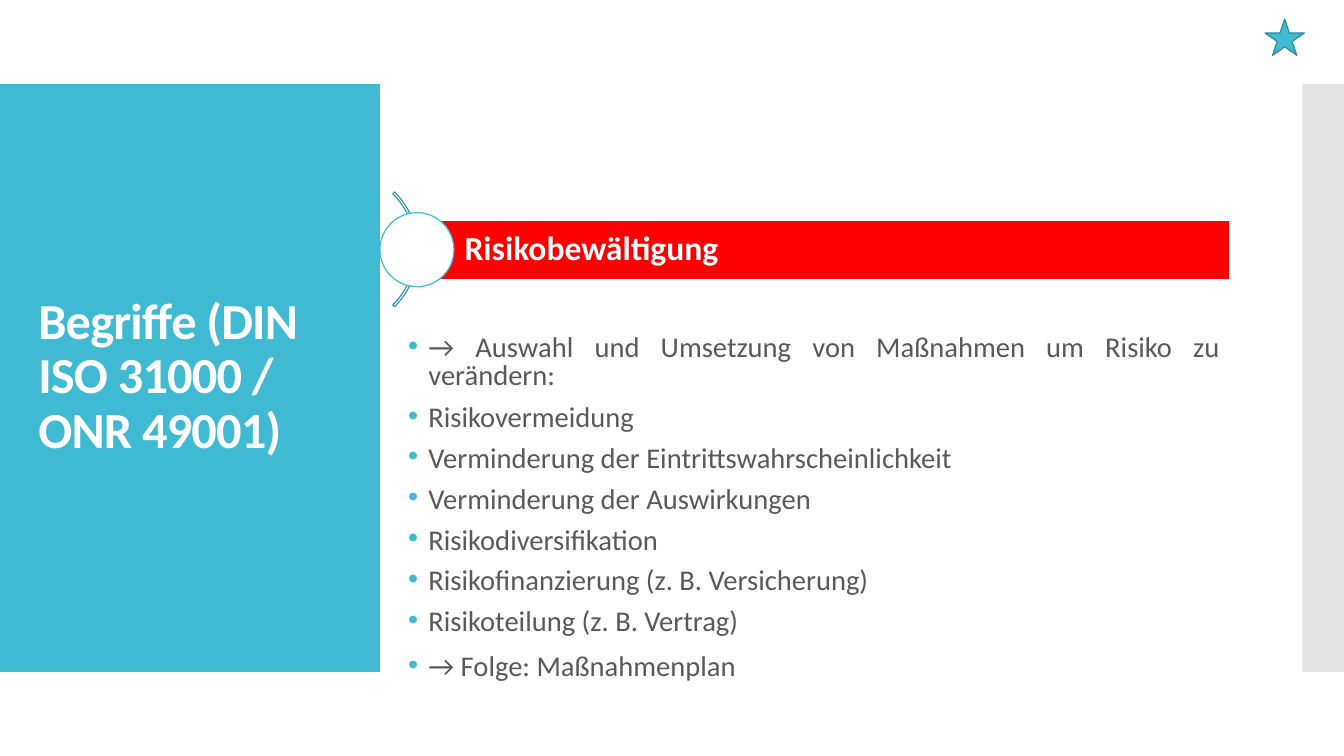
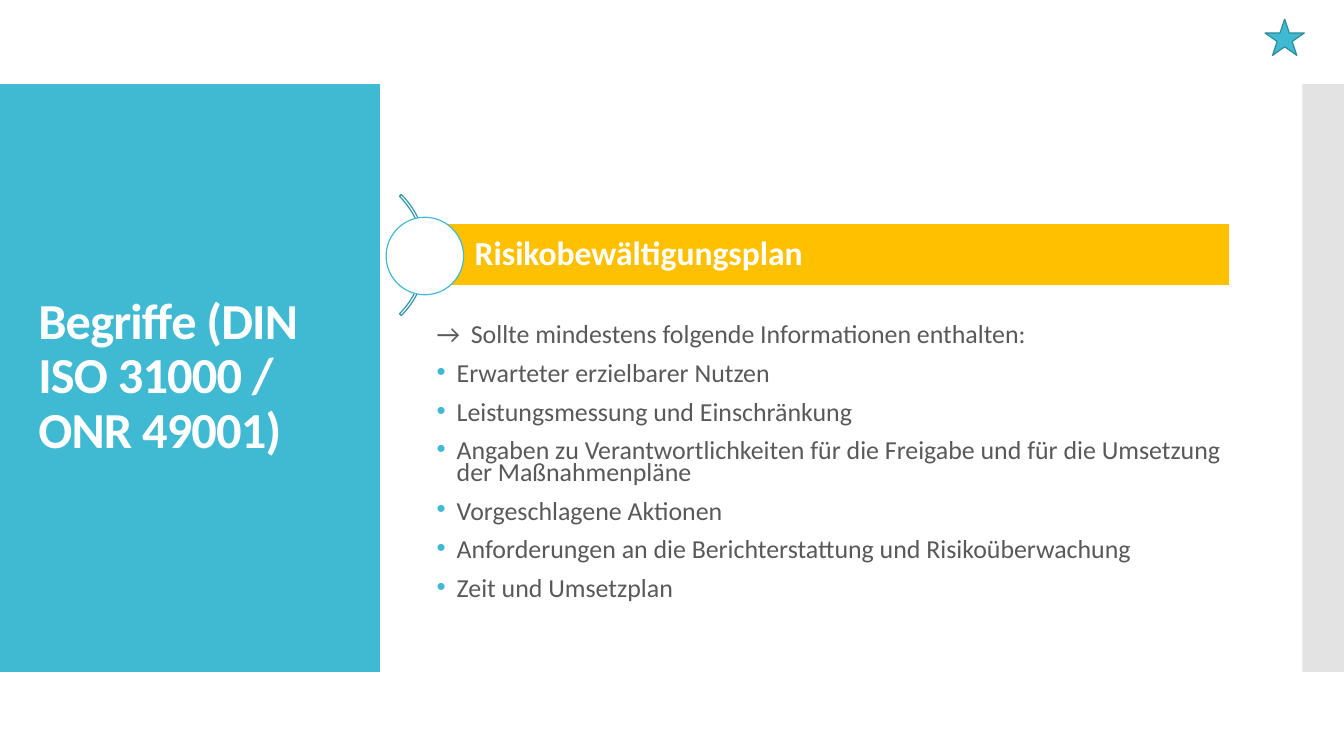
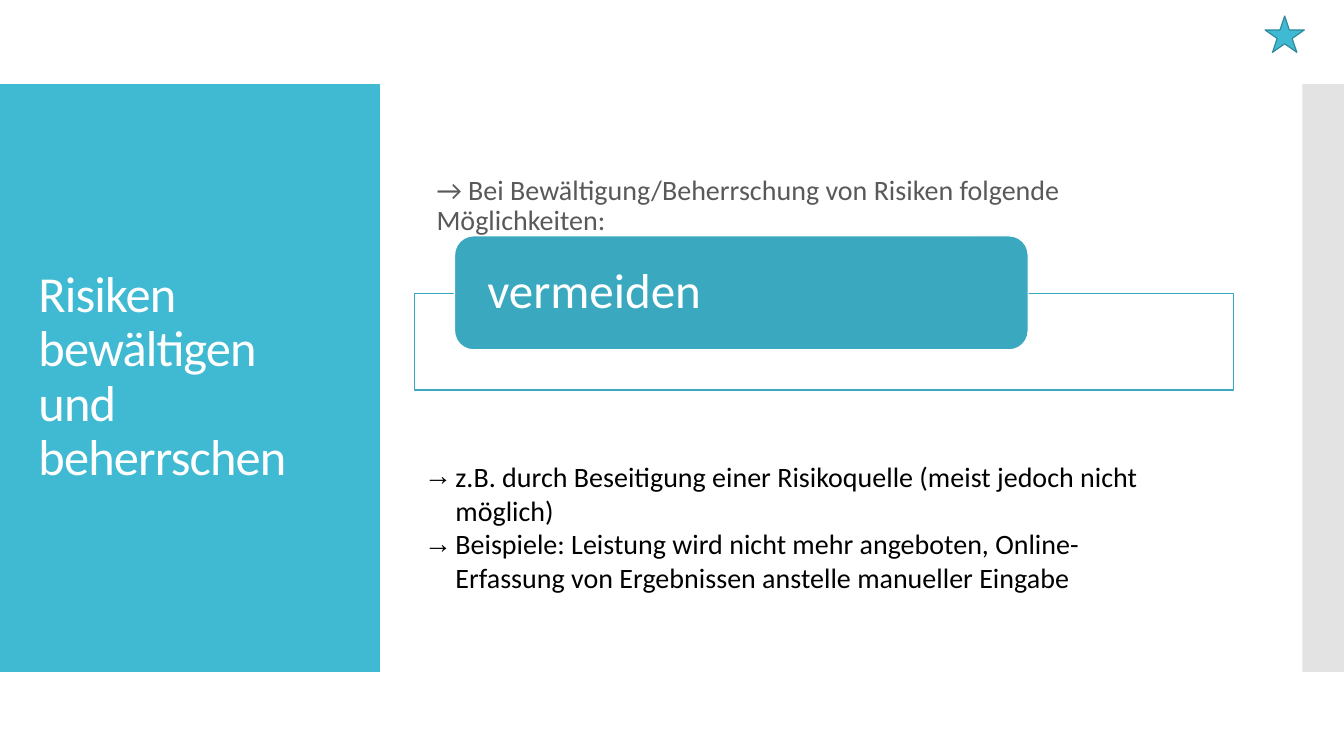
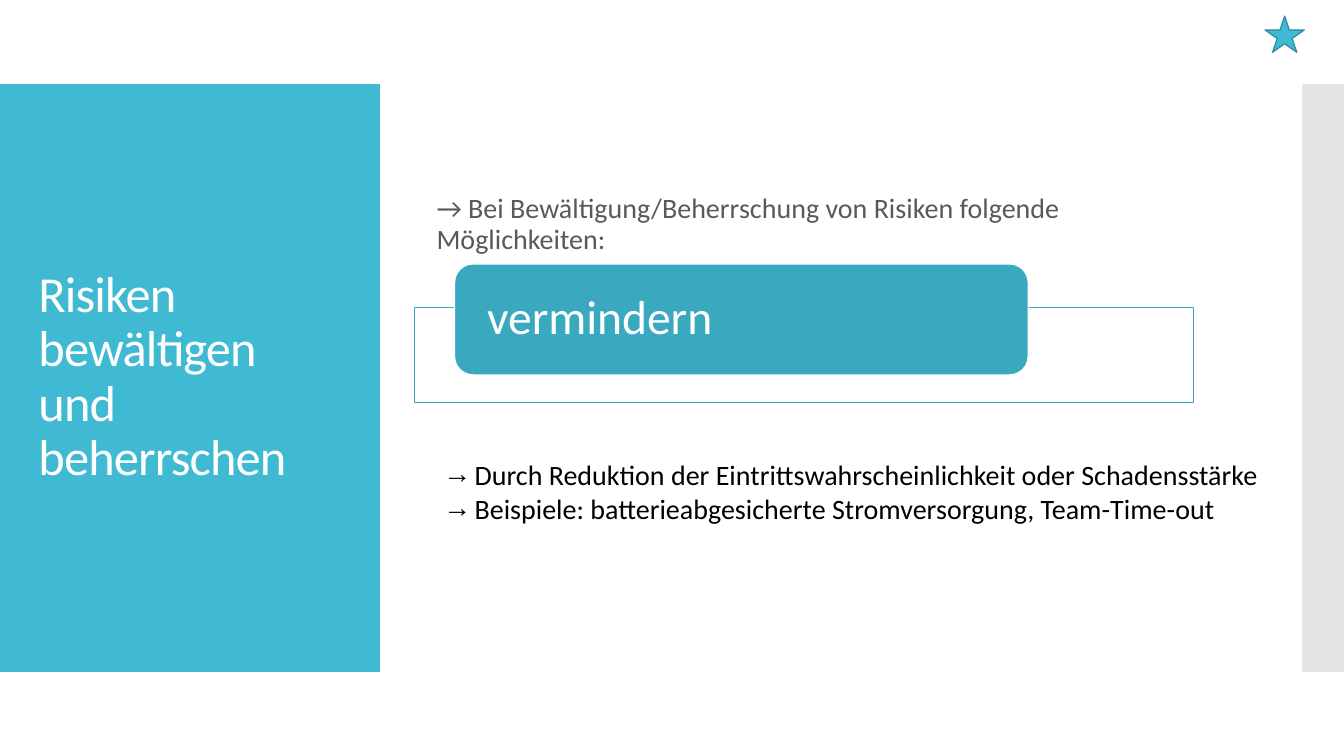
import pptx
import pptx.util
import pptx.dml.color
import pptx.enum.shapes
import pptx.enum.text
import pptx.oxml
import pptx.oxml.ns

Pt = pptx.util.Pt
RGB = pptx.dml.color.RGBColor.from_string
SHAPE = pptx.enum.shapes.MSO_SHAPE
ALIGN = pptx.enum.text.PP_ALIGN
ANCHOR = pptx.enum.text.MSO_ANCHOR
NO_FIT = pptx.enum.text.MSO_AUTO_SIZE.NONE

COLORS = {
    "accent": "40BAD2", "arc": "3395A8", "star_line": "2F8A9B", "label": "3AA9BF",
    "band": "E3E3E3", "body": "595959", "white": "FFFFFF", "black": "000000",
    "red": "FF0000", "amber": "FFC000",
}
PLAIN = {"line_spacing": 0.9}
BULLET = {"bullet": "•", "bullet_color": "accent", "hang": 14.4, "line_spacing": 0.7}
WIDE_BULLET = BULLET | {"line_spacing": 0.84, "alignment": ALIGN.JUSTIFY}
INTRO = {"hang": 24.5, "line_spacing": 0.87}
ARROW = {"bullet": "→", "bullet_color": "black", "hang": 22.3, "space_before": Pt(0)}


def add_box(s, kind, at, fill=None, line=None):
    box = s.shapes.add_shape(kind, *map(Pt, at))
    box.shadow.inherit = False
    if fill:
        box.fill.solid()
        box.fill.fore_color.rgb = RGB(COLORS[fill])
    else:
        box.fill.background()
    if line:
        box.line.color.rgb = RGB(COLORS[line])
        box.line.width = Pt(0.85)
    else:
        box.line.fill.background()
    return box


def write(shape, lines, size, color, anchor=ANCHOR.TOP, bold=False, spc=0, left=7.2):
    """Fill a shape with (text, paragraph format) pairs in one character style."""
    tf = shape.text_frame
    frame = {"word_wrap": True, "auto_size": NO_FIT, "vertical_anchor": anchor,
             "margin_left": Pt(left), "margin_right": Pt(7.2),
             "margin_top": Pt(3.6), "margin_bottom": Pt(3.6)}
    for name, value in frame.items():
        setattr(tf, name, value)
    for i, (text, style) in enumerate(lines):
        p = tf.paragraphs[0] if i == 0 else tf.add_paragraph()
        style = {"alignment": ALIGN.LEFT, "space_before": Pt(12)} | style
        if i == 0:
            style["space_before"] = Pt(0)
        hang = Pt(style.pop("hang", 0))
        bullet = style.pop("bullet", None)
        bullet_color = style.pop("bullet_color", None)
        pPr = p._p.get_or_add_pPr()
        pPr.set("marL", str(hang))
        pPr.set("indent", str(-hang))
        marks = ["<a:buNone %s/>"]
        if bullet:
            marks = [f'<a:buClr %s><a:srgbClr val="{COLORS[bullet_color]}"/></a:buClr>',
                     '<a:buFont %s typeface="Arial"/>', f'<a:buChar %s char="{bullet}"/>']
        for mark in marks:
            pPr.append(pptx.oxml.parse_xml(mark % pptx.oxml.ns.nsdecls("a")))
        for name, value in style.items():
            setattr(p, name, value)
        r = p.add_run()
        r.text = text
        for name, value in {"name": "Calibri", "size": Pt(size), "bold": bold}.items():
            setattr(r.font, name, value)
        r.font.color.rgb = RGB(COLORS[color])
        if spc:
            r._r.get_or_add_rPr().set("spc", str(spc))


TERMS = "Begriffe (DIN ISO 31000 / ONR 49001)"
RISKS = "Risiken bewältigen und beherrschen"
OPTIONS = "→ Bei Bewältigung/Beherrschung von Risiken folgende Möglichkeiten:"

SLIDES = [
    {"title": TERMS, "bold": True, "star_top": 13.7, "size": 20.4,
     "body_at": (284.4, 235, 594, 262),
     "body": [("→ Auswahl und Umsetzung von Maßnahmen um Risiko zu verändern:", WIDE_BULLET),
              ("Risikovermeidung", BULLET),
              ("Verminderung der Eintrittswahrscheinlichkeit", BULLET),
              ("Verminderung der Auswirkungen", BULLET),
              ("Risikodiversifikation", BULLET),
              ("Risikofinanzierung (z. B. Versicherung)", BULLET),
              ("Risikoteilung (z. B. Vertrag)", BULLET),
              ("→ Folge: Maßnahmenplan", WIDE_BULLET)],
     "banner": {"text": "Risikobewältigung", "fill": "red", "left": 33.8,
                "bar": (298.1, 157.3, 580.3, 42.2), "arc": (182.9, 120.2, 115.9, 115.9),
                "circle": (271.4, 151.9, 52.9, 52.9)}},
    {"title": TERMS, "bold": True, "star_top": 13.7, "size": 18.5,
     "body_at": (304.6, 226, 576, 216),
     "body": [("→\tSollte mindestens folgende Informationen enthalten:", INTRO),
              ("Erwarteter erzielbarer Nutzen", BULLET),
              ("Leistungsmessung und Einschränkung", BULLET),
              ("Angaben zu Verantwortlichkeiten für die Freigabe und für die Umsetzung "
               "der Maßnahmenpläne", BULLET),
              ("Vorgeschlagene Aktionen", BULLET),
              ("Anforderungen an die Berichterstattung und Risikoüberwachung", BULLET),
              ("Zeit und Umsetzplan", BULLET)],
     "banner": {"text": "Risikobewältigungsplan", "fill": "amber", "left": 36,
                "bar": (303.1, 159.8, 575.3, 44.6), "arc": (182.2, 121, 122.4, 122.4),
                "circle": (275.8, 155.2, 55.4, 55.4)}},
    {"title": RISKS, "bold": False, "star_top": 11.5, "size": 20,
     "body_at": (304.6, 122, 576, 54), "body": [(OPTIONS, PLAIN)],
     "option": {"text": "vermeiden", "size": 35, "frame": (295.9, 209.5, 585.4, 69.1),
                "label": (324.7, 168.5, 409.7, 81.4), "notes_at": (295.9, 324.7, 540.7, 104.4),
                "notes": ["z.B. durch Beseitigung einer Risikoquelle (meist jedoch nicht möglich)",
                          "Beispiele: Leistung wird nicht mehr angeboten, Online-Erfassung "
                          "von Ergebnissen anstelle manueller Eingabe"]}},
    {"title": RISKS, "bold": False, "star_top": 11.5, "size": 20,
     "body_at": (304.6, 135.5, 576, 54), "body": [(OPTIONS, PLAIN)],
     "option": {"text": "vermindern", "size": 34, "frame": (295.9, 219.6, 556.6, 67.7),
                "label": (324.7, 188.6, 409.7, 79.2), "notes_at": (309.6, 323.3, 603.4, 79.9),
                "notes": ["Durch Reduktion der Eintrittswahrscheinlichkeit oder Schadensstärke",
                          "Beispiele: batterieabgesicherte Stromversorgung, Team-Time-out"]}},
]

prs = pptx.Presentation()
prs.slide_width, prs.slide_height = Pt(960), Pt(540)
layout = prs.slide_layouts[1]
title_frame = layout.placeholders[0]
for side, value in zip(("left", "top", "width", "height"), (20.2, 88.6, 231.8, 362.2)):
    setattr(title_frame, side, Pt(value))

for number, data in enumerate(SLIDES):
    s = prs.slides.add_slide(layout)
    if number == 0:
        # Side bands are drawn once and moved into the shared layout
        for at, fill in (((0, 60, 271.4, 420), "accent"), ((930.2, 60, 29.8, 420), "band")):
            band = add_box(s, SHAPE.RECTANGLE, at, fill)
            title_frame.element.addprevious(band.element)

    write(s.shapes.title, [(data["title"], PLAIN)], 36, "white", ANCHOR.MIDDLE,
          data["bold"], spc=-60)
    body = s.placeholders[1]
    for side, value in zip(("left", "top", "width", "height"), data["body_at"]):
        setattr(body, side, Pt(value))
    write(body, data["body"], data["size"], "body")

    if "banner" in data:
        banner = data["banner"]
        arc = add_box(s, SHAPE.BLOCK_ARC, banner["arc"], line="arc")
        for i, value in enumerate((189, 27, 0.015)):
            arc.adjustments[i] = value
        bar = add_box(s, SHAPE.RECTANGLE, banner["bar"], banner["fill"], "white")
        write(bar, [(banner["text"], PLAIN)], 24, "white", ANCHOR.MIDDLE, True,
              left=banner["left"])
        add_box(s, SHAPE.OVAL, banner["circle"], "white", "accent")
    else:
        option = data["option"]
        add_box(s, SHAPE.RECTANGLE, option["frame"], "white", "label")
        label = add_box(s, SHAPE.ROUNDED_RECTANGLE, option["label"], "label", "white")
        write(label, [(option["text"], PLAIN)], option["size"], "white", ANCHOR.MIDDLE, left=19.4)
        notes = s.shapes.add_textbox(*map(Pt, option["notes_at"]))
        write(notes, [(text, ARROW) for text in option["notes"]], 20, "black")

    add_box(s, SHAPE.STAR_5_POINT, (903.6, data["star_top"], 28.1, 25.9), "accent", "star_line")

prs.save("out.pptx")
